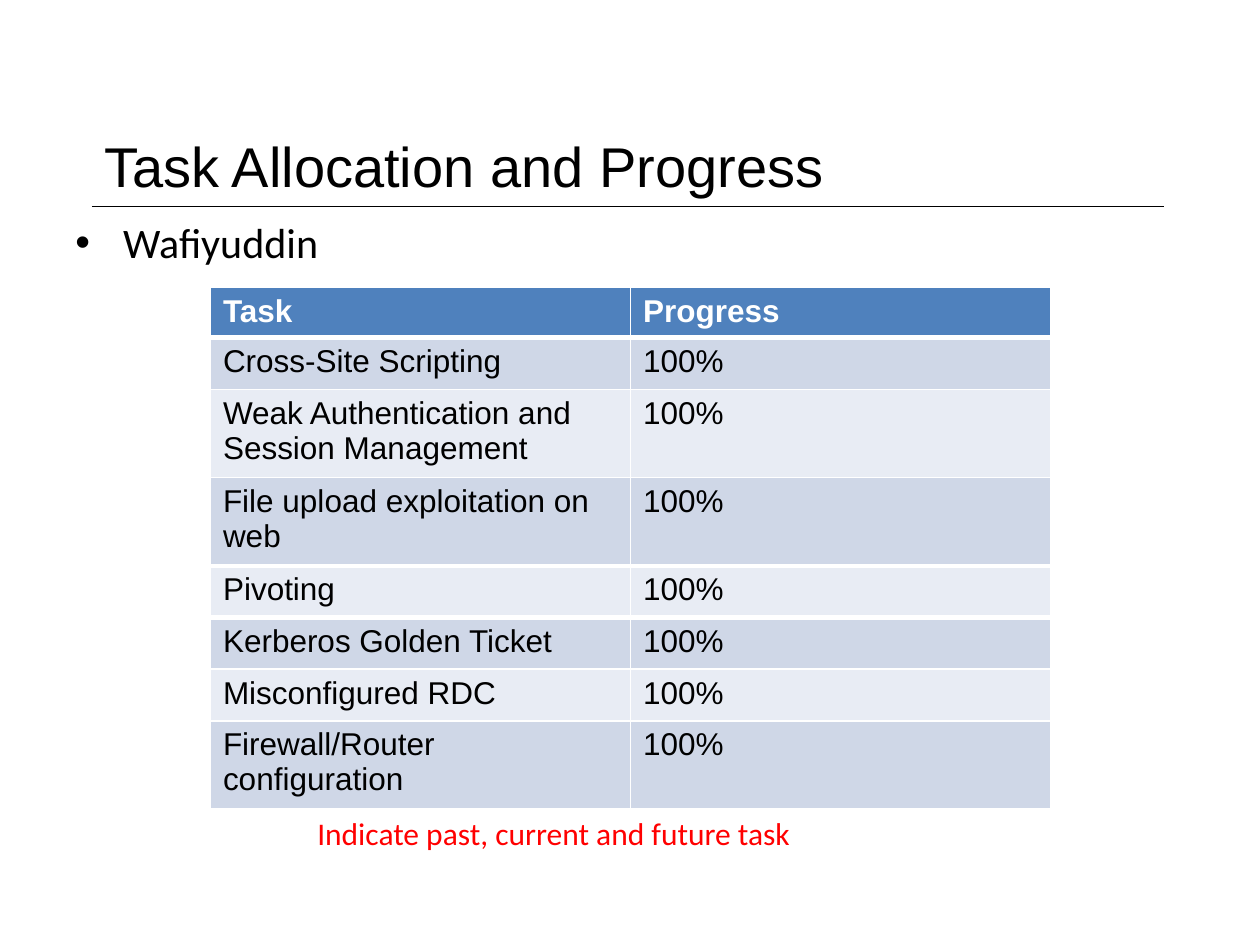
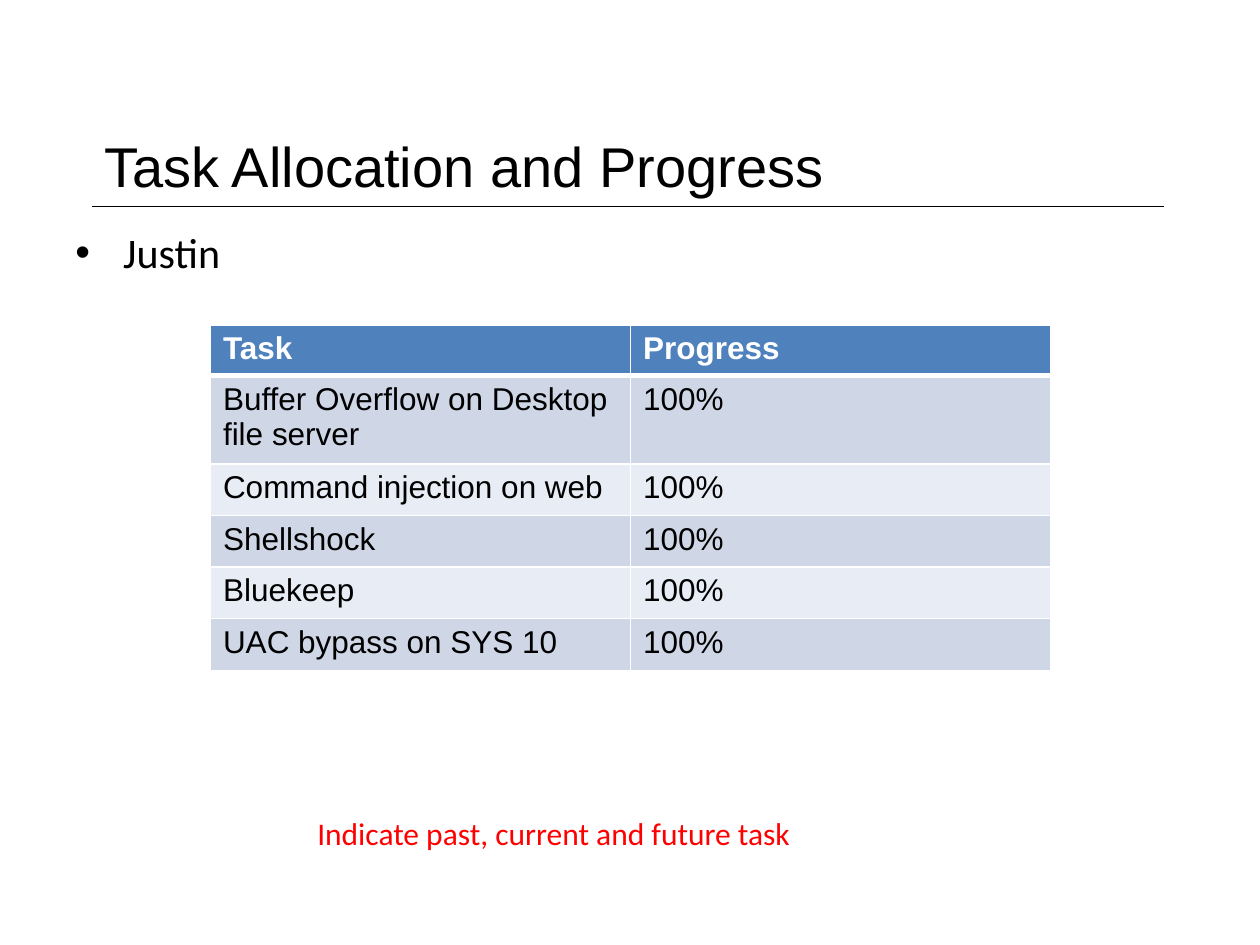
from lxml.etree import SubElement
from pptx import Presentation
from pptx.dml.color import RGBColor
from pptx.enum.shapes import MSO_CONNECTOR
from pptx.enum.text import MSO_ANCHOR
from pptx.oxml.ns import qn
from pptx.util import Inches, Pt

BLACK = "000000"
WHITE = "FFFFFF"
RED = "FF0000"
HEADER_BLUE = "4F81BD"
BAND_COLORS = ["CFD7E7", "E8ECF4"]

members = [
    {
        "name": "Wafiyuddin",
        "name_top": 1.67,
        "table_top": 2.28,
        "thick_below": {0, 3, 4},
        "tasks": [
            "Cross-Site Scripting",
            "Weak Authentication and Session Management",
            "File upload exploitation on web",
            "Pivoting",
            "Kerberos Golden Ticket",
            "Misconfigured RDC",
            "Firewall/Router configuration",
        ],
    },
    {
        "name": "Justin",
        "name_top": 1.75,
        "table_top": 2.58,
        "thick_below": {0},
        "tasks": [
            "Buffer Overflow on Desktop file server",
            "Command injection on web",
            "Shellshock",
            "Bluekeep",
            "UAC bypass on SYS 10",
        ],
    },
]


def color(value):
    return RGBColor.from_string(value)


def write_text(frame, text, size=18, font="Arial", fill=BLACK, bold=False,
               anchor=MSO_ANCHOR.TOP, bullet=False):
    frame.word_wrap = True
    frame.vertical_anchor = anchor
    paragraph = frame.paragraphs[0]
    if bullet:
        properties = paragraph._p.get_or_add_pPr()
        properties.set("marL", str(Inches(0.38)))
        properties.set("indent", str(Inches(-0.38)))
        SubElement(properties, qn("a:buFont"), typeface="Arial")
        SubElement(properties, qn("a:buChar"), char="•")
    run = paragraph.add_run()
    run.text = text
    run.font.size = Pt(size)
    run.font.name = font
    run.font.bold = bold
    run.font.color.rgb = color(fill)


presentation = Presentation()
presentation.slide_width = Inches(10)
presentation.slide_height = Inches(7.5)

for member in members:
    slide = presentation.slides.add_slide(presentation.slide_layouts[6])

    rule = slide.shapes.add_connector(
        MSO_CONNECTOR.STRAIGHT, Inches(0.73), Inches(1.64), Inches(9.24), Inches(1.64))
    rule.line.color.rgb = color(BLACK)
    rule.line.width = Pt(0.75)
    SubElement(rule._element.spPr, qn("a:effectLst"))

    title = slide.shapes.add_textbox(Inches(0.73), Inches(0.98), Inches(8.51), Inches(0.66))
    write_text(title.text_frame, "Task Allocation and Progress", size=32,
               anchor=MSO_ANCHOR.MIDDLE)

    name = slide.shapes.add_textbox(
        Inches(0.5), Inches(member["name_top"]), Inches(9), Inches(4.95))
    write_text(name.text_frame, member["name"], size=24, font="Calibri", bullet=True)

    rows = [("Task", "Progress")] + [(task, "100%") for task in member["tasks"]]
    table = slide.shapes.add_table(
        len(rows), 2, Inches(1.67), Inches(member["table_top"]),
        Inches(6.67), Inches(0.41 * len(rows))).table
    for row_index, row in enumerate(rows):
        header = row_index == 0
        table.rows[row_index].height = Inches(0.4 if header else 0.41)
        top_width = 3 if row_index - 1 in member["thick_below"] else 1
        bottom_width = 3 if row_index in member["thick_below"] else 1
        borders = {"lnL": 1, "lnR": 1, "lnT": top_width, "lnB": bottom_width}
        for column_index, text in enumerate(row):
            cell = table.cell(row_index, column_index)
            write_text(cell.text_frame, text, fill=WHITE if header else BLACK, bold=header)
            cell_properties = cell._tc.get_or_add_tcPr()
            for edge, width in borders.items():
                line = SubElement(cell_properties, qn(f"a:{edge}"), w=str(Pt(width)))
                line_fill = SubElement(line, qn("a:solidFill"))
                SubElement(line_fill, qn("a:srgbClr"), val=WHITE)
            cell.fill.solid()
            cell.fill.fore_color.rgb = color(
                HEADER_BLUE if header else BAND_COLORS[(row_index - 1) % 2])

    note = slide.shapes.add_textbox(Inches(2.42), Inches(6.41), Inches(4), Inches(0.4))
    write_text(note.text_frame, "Indicate past, current and future task",
               font="Calibri", fill=RED)

presentation.save("out.pptx")
